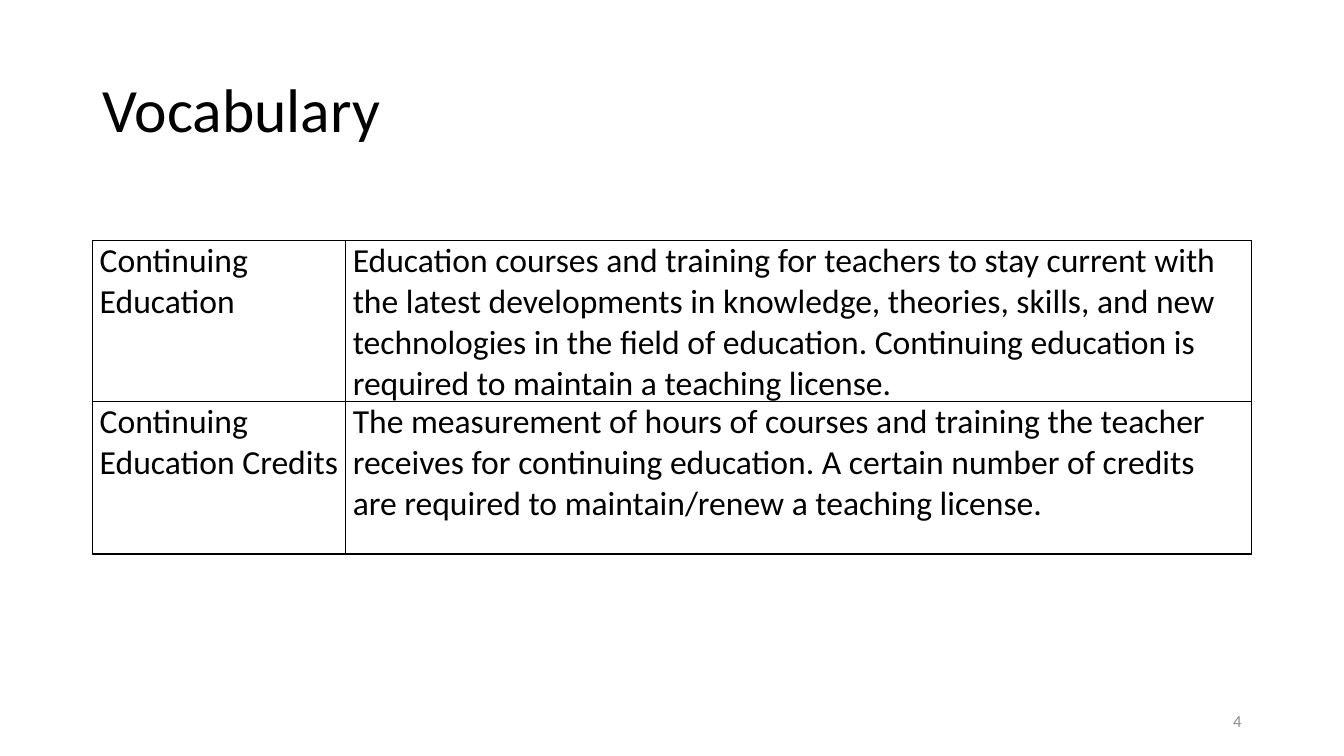
from lxml.etree import SubElement as Sub
from pptx import Presentation as Deck
from pptx.dml.color import RGBColor as Color
from pptx.enum.text import MSO_ANCHOR as Anchor, PP_ALIGN as Align
from pptx.oxml.ns import qn
from pptx.util import Pt

SCALE = 9525
BLACK = "000000"
GREY = "8C8C8C"
TERMS = [
    ("Continuing Education",
     "Education courses and training for teachers to stay current with "
     "the latest developments in knowledge, theories, skills, and new "
     "technologies in the field of education. Continuing education is "
     "required to maintain a teaching license."),
    ("Continuing Education Credits",
     "The measurement of hours of courses and training the teacher "
     "receives for continuing education. A certain number of credits "
     "are required to maintain/renew a teaching license."),
]


def px(*sizes):
    return [size * SCALE for size in sizes]


def style(frame, size, color):
    for para in frame.paragraphs:
        for run in para.runs:
            run.font.name = "Calibri"
            run.font.size = Pt(size)
            run.font.color.rgb = Color.from_string(color)


def label(slide, box, text, size, color, align=Align.LEFT, pitch=None):
    frame = slide.shapes.add_textbox(*px(*box)).text_frame
    frame.word_wrap = True
    frame.vertical_anchor = Anchor.MIDDLE
    frame.text = text
    para = frame.paragraphs[0]
    para.alignment = align
    para.line_spacing = pitch
    style(frame, size, color)


def border(cell):
    props = cell._tc.get_or_add_tcPr()
    for index, side in enumerate(("lnL", "lnR", "lnT", "lnB")):
        line = props.makeelement(qn("a:" + side), {"w": str(Pt(1))})
        fill = Sub(line, qn("a:solidFill"))
        Sub(fill, qn("a:srgbClr"), val=BLACK)
        props.insert(index, line)


def fill(cell, text):
    side, = px(7)
    cell.margin_left = cell.margin_right = side
    cell.margin_top = cell.margin_bottom = 0
    cell.fill.background()
    border(cell)
    cell.text_frame.text = text
    para = cell.text_frame.paragraphs[0]
    para.space_before = para.space_after = Pt(6)
    style(cell.text_frame, 24, BLACK)


def grid(slide, left, top, widths, height, rows):
    box = px(left, top, sum(widths), height * len(rows))
    table = slide.shapes.add_table(len(rows), len(widths), *box).table
    table.first_row = table.horz_banding = False
    for column, width in zip(table.columns, px(*widths)):
        column.width = width
    for r, row in enumerate(rows):
        for c, text in enumerate(row):
            fill(table.cell(r, c), text)


def main():
    deck = Deck()
    deck.slide_width, deck.slide_height = px(1280, 720)
    slide = deck.slides.add_slide(deck.slide_layouts[6])
    label(slide, (88, 38, 1104, 139), "Vocabulary", 44, BLACK, pitch=0.9)
    grid(slide, 88, 229, (241, 863), 145, TERMS)
    label(slide, (904, 667, 288, 38), "4", 12, GREY, Align.RIGHT)
    deck.save("out.pptx")


if __name__ == "__main__":
    main()
